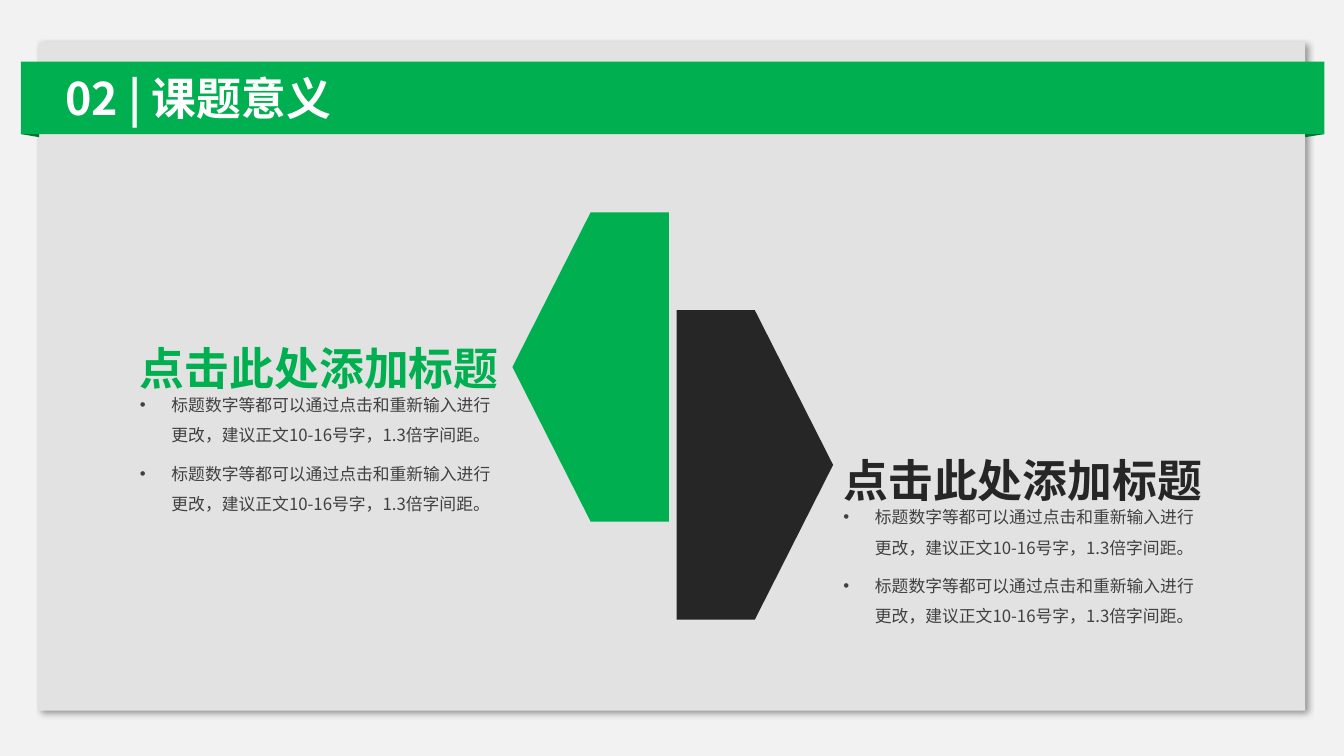
from lxml import etree
from pptx import Presentation
from pptx import util as u
from pptx.dml import color as c
from pptx.enum import shapes, text
from pptx.oxml import ns

Pt = u.Pt
FACE = "Noto Sans CJK SC"
GREEN, DARK_GREEN, BLACK = "00B050", "007635", "262626"
GREY, PANEL, PAPER, WHITE = "404040", "E2E2E2", "F2F2F2", "FFFFFF"
HEADING = "点击此处添加标题"
ADVICE = "标题数字等都可以通过点击和重新输入进行更改，建议正文10-16号字，1.3倍字间距。"


def rgb(value):
    return c.RGBColor.from_string(value)


def add_xml(parent, tag, **attributes):
    return etree.SubElement(parent, ns.qn(tag), attributes)


def paint(shape, fill):
    shape.shadow.inherit = False
    shape.fill.solid()
    shape.fill.fore_color.rgb = rgb(fill)
    shape.line.fill.background()
    return shape


def add_block(slide, kind, place, fill, rotation=0):
    block = slide.shapes.add_shape(kind, *map(Pt, place))
    block.rotation = rotation
    return paint(block, fill)


def add_fold(slide, points):
    start, *rest = [(Pt(x), Pt(y)) for x, y in points]
    builder = slide.shapes.build_freeform(*start)
    builder.add_line_segments(rest)
    paint(builder.convert_to_shape(), DARK_GREEN)


def add_drop_shadow(shape):
    effects = shape._element.spPr.find(ns.qn("a:effectLst"))
    shadow = add_xml(effects, "a:outerShdw", blurRad=str(Pt(4)), dist=str(Pt(3)),
                     dir="2700000", algn="tl", rotWithShape="0")
    tint = add_xml(shadow, "a:srgbClr", val="000000")
    add_xml(tint, "a:alpha", val="40000")


def add_bullet(para, indent):
    settings = para._p.get_or_add_pPr()
    settings.set("marL", str(Pt(indent)))
    settings.set("indent", str(-Pt(indent)))
    add_xml(settings, "a:buFont", typeface="Arial")
    add_xml(settings, "a:buChar", char="•")


def add_text(slide, place, lines, size, color, bold=False, spacing=None,
             wrap=False, bullets=False):
    box = slide.shapes.add_textbox(*map(Pt, place))
    frame = box.text_frame
    frame.word_wrap = wrap
    frame.auto_size = text.MSO_AUTO_SIZE.SHAPE_TO_FIT_TEXT
    font_format = {"size": Pt(size), "bold": bold, "name": FACE}
    for index, line in enumerate(lines):
        para = frame.paragraphs[0] if index == 0 else frame.add_paragraph()
        if bullets:
            add_bullet(para, 22.5)
        if spacing:
            para.line_spacing = spacing
        if index:
            para.space_before = Pt(6)
        span = para.add_run()
        span.text = line
        for name, value in font_format.items():
            setattr(span.font, name, value)
        span.font.color.rgb = rgb(color)
        add_xml(span._r.get_or_add_rPr(), "a:ea", typeface=FACE)


def add_topic(slide, left, top, color):
    add_text(slide, (left, top, 272.9, 52.6), [HEADING], 32, color,
             bold=True, spacing=1.3)
    add_text(slide, (left, top + 43.2, 267.1, 100.8), [ADVICE] * 2, 12, GREY,
             spacing=1.5, wrap=True, bullets=True)


def main():
    deck = Presentation()
    deck.slide_width, deck.slide_height = Pt(960), Pt(540)
    slide = deck.slides.add_slide(deck.slide_layouts[6])
    slide.background.fill.solid()
    slide.background.fill.fore_color.rgb = rgb(PAPER)

    # Panel
    kind = shapes.MSO_SHAPE
    panel = add_block(slide, kind.RECTANGLE, (28, 30.2, 904.3, 477.4), PANEL)
    add_drop_shadow(panel)

    # Title ribbon with folded ends
    add_block(slide, kind.RECTANGLE, (15, 44, 931, 51.8), GREEN)
    for outer, inner in ((15, 28), (946, 932.3)):
        add_fold(slide, [(outer, 95.8), (inner, 95.8), (inner, 98)])
    add_text(slide, (39.6, 46.8, 213.8, 46.1), ["02 | 课题意义"], 32, WHITE, bold=True)

    # Opposed arrows
    add_block(slide, kind.PENTAGON, (366, 151.6, 111.8, 221), GREEN, rotation=180)
    add_block(slide, kind.PENTAGON, (483.3, 221.6, 111.8, 221), BLACK)

    # Topics
    add_topic(slide, 92.9, 228.2, GREEN)
    add_topic(slide, 595.4, 308.2, BLACK)

    deck.save("out.pptx")


if __name__ == "__main__":
    main()
